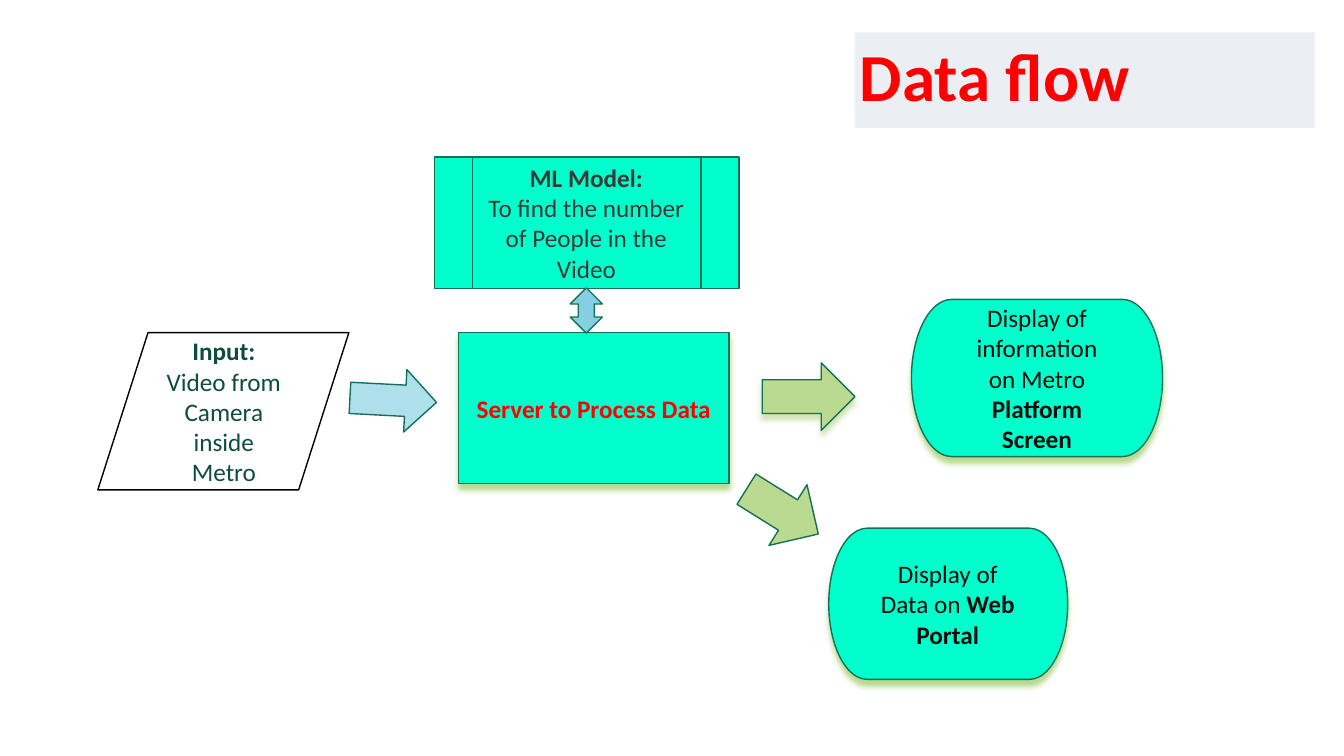
from lxml import etree
from pptx import Presentation
from pptx import util as u
from pptx.dml.color import RGBColor
from pptx.enum import shapes, text
from pptx.oxml.ns import qn

WHITE = RGBColor(0xFF, 0xFF, 0xFF)
BLACK = RGBColor(0x00, 0x00, 0x00)
RED = RGBColor(0xFF, 0x00, 0x00)
PALE_GREY = RGBColor(0xEB, 0xEE, 0xF2)
MINT = RGBColor(0x00, 0xFF, 0xCC)
DARK_TEAL = RGBColor(0x15, 0x70, 0x58)
FOREST = RGBColor(0x0E, 0x4D, 0x3C)
INK = RGBColor(0x0D, 0x0D, 0x0D)
CHARCOAL = RGBColor(0x3B, 0x38, 0x38)
LIME = RGBColor(0xB9, 0xDA, 0x8F)
PALE_LIME = RGBColor(0xD1, 0xE6, 0xB5)
BLUE = RGBColor(0x86, 0xCF, 0xE2)
PALE_BLUE = RGBColor(0xAF, 0xDF, 0xEB)

KIND = shapes.MSO_SHAPE


class FlowSlide:
    font = "Calibri"
    margin = u.Inches(0.05)
    border = u.Pt(1)

    def __init__(self, deck):
        self.page = deck.slides.add_slide(deck.slide_layouts[6])

    def shape(self, kind, area, fill, line=DARK_TEAL, shadow=None, angle=0, parent=None):
        holder = parent or self.page
        shape = holder.shapes.add_shape(kind, *map(u.Inches, area))
        shape.shadow.inherit = False
        shape.fill.solid()
        shape.fill.fore_color.rgb = fill
        shape.line.color.rgb = line
        shape.line.width = self.border
        shape.rotation = angle
        if shadow is not None:
            self.drop_shadow(shape, shadow)
        return shape

    def drop_shadow(self, shape, color):
        effects = shape._element.spPr.find(qn("a:effectLst"))
        outer = etree.SubElement(
            effects, qn("a:outerShdw"), blurRad=str(u.Pt(4)), dist=str(u.Pt(4)),
            dir="5400000", algn="t", rotWithShape="0")
        etree.SubElement(outer, qn("a:srgbClr"), val=str(color))

    def label(self, area, paragraphs, color, size=18, align=text.PP_ALIGN.CENTER, parent=None):
        holder = parent or self.page
        box = holder.shapes.add_textbox(*map(u.Inches, area))
        frame = box.text_frame
        frame.word_wrap = True
        frame.vertical_anchor = text.MSO_ANCHOR.MIDDLE
        frame.margin_left = frame.margin_right = self.margin
        frame.margin_top = frame.margin_bottom = self.margin
        for index, runs in enumerate(paragraphs):
            para = frame.add_paragraph() if index else frame.paragraphs[0]
            para.alignment = align
            for words, bold in runs:
                span = para.add_run()
                span.text = words
                span.font.name = self.font
                span.font.size = u.Pt(size)
                span.font.bold = bold
                span.font.color.rgb = color
        return box

    def title(self, area, words):
        box = self.label(area, [[(words, True)]], RED, 48, text.PP_ALIGN.LEFT)
        box.text_frame.paragraphs[0].line_spacing = 0.9
        box.fill.solid()
        box.fill.fore_color.rgb = PALE_GREY

    def step(self, kind, area, text_area, paragraphs, color, fill=MINT, line=DARK_TEAL, shadow=None):
        group = self.page.shapes.add_group_shape()
        self.shape(kind, area, fill, line, shadow, parent=group)
        self.label(text_area, paragraphs, color, parent=group)


def main():
    deck = Presentation()
    deck.slide_width = u.Inches(13.33)
    deck.slide_height = u.Inches(7.5)
    flow = FlowSlide(deck)

    flow.title((8.48, 0.32, 4.56, 0.95), "Data flow")

    flow.step(KIND.RECTANGLE, (4.55, 3.3, 2.68, 1.5), (4.61, 3.87, 2.56, 0.36),
              [[("Server to Process Data", True)]], RED, shadow=LIME)
    flow.step(KIND.FLOWCHART_DATA, (0.97, 3.3, 2.49, 1.56), (1.53, 3.26, 1.38, 1.64),
              [[("Input:", True)], [("Video from Camera inside Metro", False)]],
              FOREST, fill=WHITE, line=BLACK)
    flow.step(KIND.FLOWCHART_TERMINATOR, (9.04, 2.97, 2.49, 1.56), (9.51, 2.93, 1.55, 1.64),
              [[("Display of information on Metro ", False), ("Platform Screen", True)]],
              INK, shadow=LIME)
    flow.step(KIND.FLOWCHART_TERMINATOR, (8.22, 5.24, 2.37, 1.5), (8.67, 5.49, 1.46, 1),
              [[("Display of Data on ", False), ("Web Portal", True)]],
              INK, shadow=LIME)
    flow.step(KIND.FLOWCHART_PREDEFINED_PROCESS, (4.31, 1.56, 3.02, 1.3), (4.74, 1.55, 2.15, 1.32),
              [[("ML Model:", True)], [("To find the number of People in the Video", False)]],
              CHARCOAL)

    flow.shape(KIND.RIGHT_ARROW, (7.56, 3.6, 0.92, 0.67), LIME, shadow=PALE_LIME)
    flow.shape(KIND.LEFT_RIGHT_ARROW, (5.59, 2.92, 0.45, 0.32), BLUE, angle=270)
    flow.shape(KIND.RIGHT_ARROW, (3.47, 3.66, 0.86, 0.62), PALE_BLUE, angle=3)
    flow.shape(KIND.LEFT_ARROW, (7.34, 4.72, 0.84, 0.71), LIME, angle=212)

    deck.save("out.pptx")


if __name__ == "__main__":
    main()
